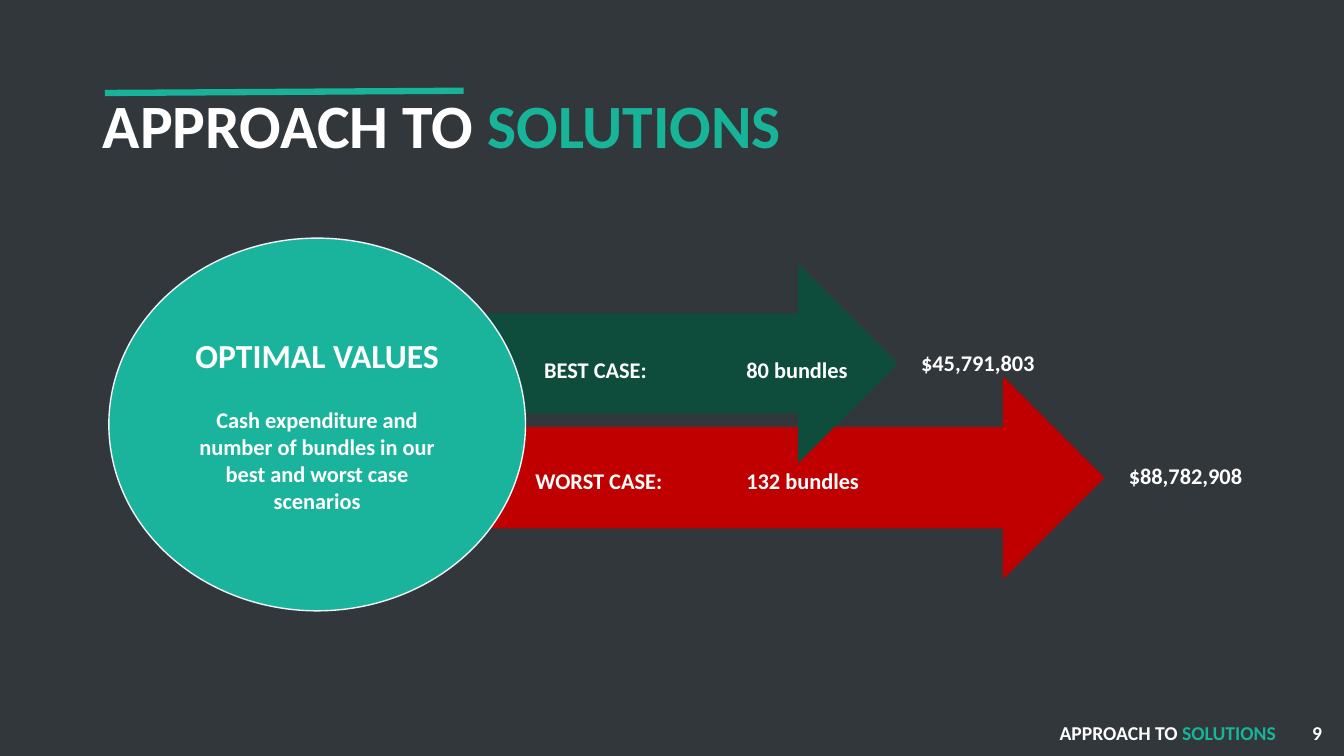
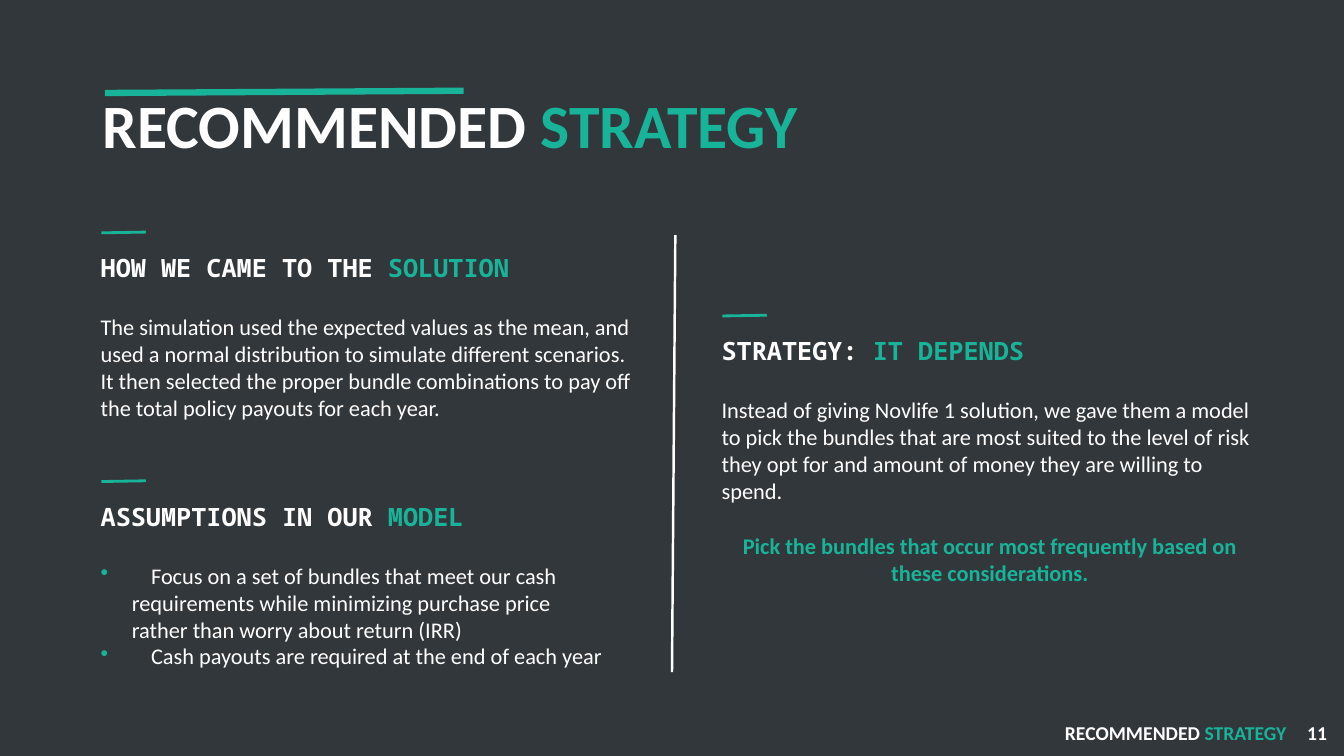
from lxml import etree
from pptx import Presentation, util as u
from pptx.dml.color import RGBColor
from pptx.enum import shapes, text
from pptx.oxml.ns import qn

COLORS = {"ground": "32373B", "white": "FFFFFF", "accent": "18B499", "circle": "1AB49C",
          "rim": "F0F5F9", "best": "0E4D3C", "worst": "C00000"}
SANS, MONO = "Calibri", "Noto Sans Mono"
LEFT, CENTER = text.PP_ALIGN.LEFT, text.PP_ALIGN.CENTER
TOP, MIDDLE = text.MSO_ANCHOR.TOP, text.MSO_ANCHOR.MIDDLE

# Deck, with a grid of 100 columns by 100 rows
deck = Presentation()
deck.slide_width, deck.slide_height = u.Inches(13.33), u.Inches(7.5)
COL, ROW = deck.slide_width / 100, deck.slide_height / 100
ground = deck.slide_master.background.fill
ground.solid()
ground.fore_color.rgb = RGBColor.from_string(COLORS["ground"])


def write(shape, paras, anchor=TOP):
    """Fill a shape with paragraphs: a list of (spans, options) pairs."""
    frame = shape.text_frame
    frame.word_wrap, frame.auto_size = True, text.MSO_AUTO_SIZE.NONE
    frame.vertical_anchor = anchor
    for index, (spans, options) in enumerate(paras):
        para = frame.add_paragraph() if index else frame.paragraphs[0]
        para.alignment = options.get("align", LEFT)
        para.space_before = u.Pt(options.get("before", 0))
        para.font.name = options.get("font", SANS)
        para.font.size = u.Pt(options.get("size", 16))
        para.font.bold = options.get("bold", True)
        for words, color in spans:
            for line, part in enumerate(words.split("\n")):
                if line:
                    para.add_line_break()
                span = para.add_run()
                span.text = part
                span.font.color.rgb = RGBColor.from_string(COLORS[color])
        if options.get("bullet"):
            props = para._p.get_or_add_pPr()
            hang = u.Inches(0.31)
            props.set("marL", str(hang))
            props.set("indent", str(-hang))
            bullet_color = etree.Element(qn("a:buClr"))
            etree.SubElement(bullet_color, qn("a:srgbClr"), val=COLORS["accent"])
            bullet = etree.Element(qn("a:buChar"), char="•")
            # Bullet marks come before the default run properties
            for mark in (bullet_color, bullet):
                props.find(qn("a:defRPr")).addprevious(mark)


def rule(page, start, end, color, width):
    """Draw a straight line between two (column, row) points."""
    line = page.shapes.add_connector(
        shapes.MSO_CONNECTOR.STRAIGHT, round(start[0] * COL), round(start[1] * ROW),
        round(end[0] * COL), round(end[1] * ROW))
    line.line.color.rgb = RGBColor.from_string(COLORS[color])
    line.line.width = u.Pt(width)
    etree.SubElement(line._element.spPr, qn("a:effectLst"))


# Shared parts: title, title rule, footer label and page number
pages = []
for plain, accented, number, footer_left in [("APPROACH TO ", "SOLUTIONS", "9", 78.1),
                                             ("RECOMMENDED ", "STRATEGY", "11", 78.5)]:
    page = deck.slides.add_slide(deck.slide_layouts[5])
    pages.append(page)
    heading = [(plain, "white"), (accented, "accent")]
    title = page.shapes.title
    title.left, title.top = round(6.9 * COL), round(12 * ROW)
    title.width, title.height = round(86.3 * COL), round(9.9 * ROW)
    write(title, [(heading, {"size": 44})], MIDDLE)
    title.text_frame.paragraphs[0].line_spacing = 0.9
    rule(page, (7.8, 12.3), (34.5, 12), "accent", 4.5)
    for left, width, spans, align in [(footer_left, 18.5, heading, LEFT),
                                      (96, 4, [(number, "white")], CENTER)]:
        box = page.shapes.add_textbox(round(left * COL), round(94.7 * ROW),
                                      round(width * COL), round(4.5 * ROW))
        write(box, [(spans, {"size": 14, "align": align})])
solutions, strategy = pages

# Solutions: arrows behind the circle
SHAPE = shapes.MSO_SHAPE
for kind, left, top, width, height, color, edge in [
        (SHAPE.RIGHT_ARROW, 19.9, 50, 62.2, 26.4, "worst", "worst"),
        (SHAPE.RIGHT_ARROW, 20, 34.9, 46.8, 26.4, "best", None),
        (SHAPE.FLOWCHART_CONNECTOR, 8.1, 31.5, 31, 49.3, "circle", "rim")]:
    figure = solutions.shapes.add_shape(kind, round(left * COL), round(top * ROW),
                                        round(width * COL), round(height * ROW))
    figure.shadow.inherit = False
    figure.fill.solid()
    figure.fill.fore_color.rgb = RGBColor.from_string(COLORS[color])
    if edge:
        figure.line.color.rgb = RGBColor.from_string(COLORS[edge])
        figure.line.width = u.Pt(1)
    else:
        figure.line.fill.background()
circle = figure
write(circle, [
    ([("OPTIMAL VALUES", "white")], {"size": 24, "align": CENTER}),
    ([("Cash expenditure and number of bundles in our best and worst case scenarios", "white")],
     {"align": CENTER, "before": 22}),
], MIDDLE)

# Solutions: case labels, bundle counts and totals
for left, top, words in [(39.75, 46.5, "BEST CASE:"), (54.8, 46.5, "80 bundles"),
                         (67.8, 45.5, "$45,791,803"),
                         (39.1, 61.1, "WORST CASE:"), (54.8, 61.1, "132 bundles"),
                         (83.25, 60.5, "$88,782,908")]:
    box = solutions.shapes.add_textbox(round(left * COL), round(top * ROW),
                                       round(13 * COL), round(5 * ROW))
    write(box, [([(words, "white")], {})])

# Strategy: divider and three text blocks, each under a short dash
rule(strategy, (50.25, 31.1), (50, 88.9), "white", 1.75)
BODY = {"bold": False}
FIRST = {"bold": False, "before": 22}
blocks = [
    (6.75, 32.7, 24, "HOW WE CAME TO THE ", "SOLUTION", [
        ([("The simulation used the expected values as the mean, and used a normal "
           "distribution to simulate different scenarios.", "white")], FIRST),
        ([("It then selected the proper bundle combinations to pay off the total policy "
           "payouts for each year.", "white")], BODY)]),
    (6.75, 65.6, 25, "ASSUMPTIONS IN OUR ", "MODEL", [
        ([("\tFocus on a set of bundles that meet our cash\nrequirements while minimizing "
           "purchase price\nrather than worry about return (IRR)", "white")],
         {**FIRST, "bullet": True}),
        ([("\tCash payouts are required at the end of each year", "white")],
         {**BODY, "bullet": True})]),
    (52.95, 43.7, 34.5, "STRATEGY: ", "IT DEPENDS", [
        ([("Instead of giving Novlife 1 solution, we gave them a model to pick the bundles "
           "that are most suited to the level of risk they opt for and amount of money "
           "they are willing to spend.", "white")], FIRST),
        ([("Pick the bundles that occur most frequently based on these considerations.",
           "accent")], {"align": CENTER, "before": 20})]),
]
for left, top, height, plain, accented, paras in blocks:
    rule(strategy, (left + 0.8, top - 1.9), (left + 4.1, top - 2), "accent", 2)
    box = strategy.shapes.add_textbox(round(left * COL), round(top * ROW),
                                      round(41.4 * COL), round(height * ROW))
    heading = ([(plain, "white"), (accented, "accent")], {"font": MONO, "size": 18})
    write(box, [heading, *paras])

deck.save("out.pptx")
